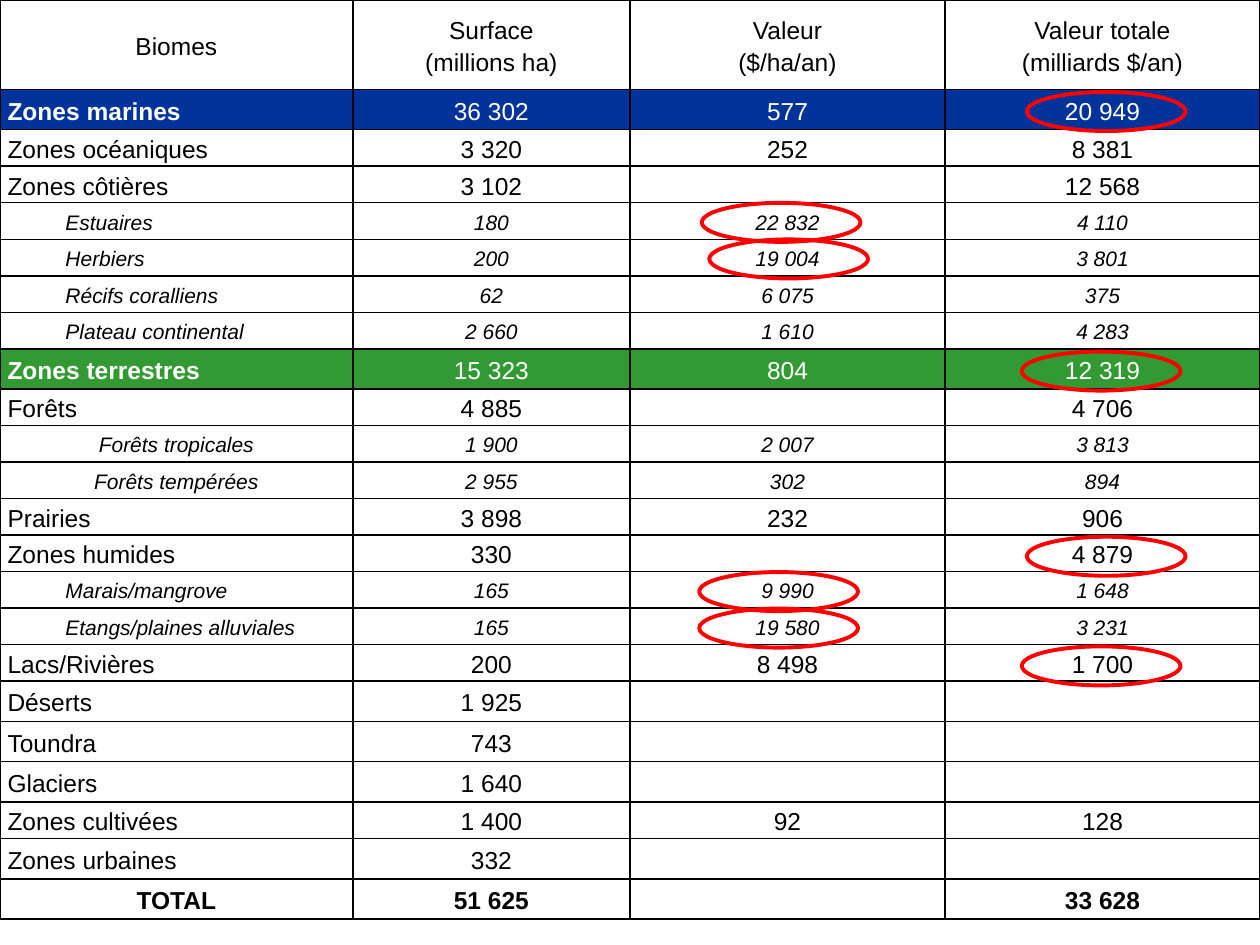
from pptx import Presentation
from pptx.dml.color import RGBColor as RGB
from pptx.enum.shapes import MSO_SHAPE as Shape
from pptx.enum.text import MSO_ANCHOR as Anchor, PP_ALIGN as Align
from pptx.oxml import parse_xml
from pptx.oxml.ns import nsdecls
from pptx.util import Inches, Pt

BLACK = RGB(0, 0, 0)
WHITE = RGB(255, 255, 255)
BLUE = RGB(0, 0x33, 0x99)
GREEN = RGB(0x33, 0x99, 0x33)
RED = RGB(255, 0, 0)

COLS = [2.8, 2.2, 2.5, 2.5]
HEAD, TALL, LOW = 0.71, 0.32, 0.29

# Row kinds: head, sea, land, main, sub (indented), mid (centred), total
ROWS = [
    ("head", HEAD, "Biomes", "Surface\n(millions ha)", "Valeur\n($/ha/an)",
     "Valeur totale\n(milliards $/an)"),
    ("sea", TALL, "Zones marines", "36 302", "577", "20 949"),
    ("main", LOW, "Zones océaniques", "3 320", "252", "8 381"),
    ("main", LOW, "Zones côtières", "3 102", "", "12 568"),
    ("sub", LOW, "Estuaires", "180", "22 832", "4 110"),
    ("sub", LOW, "Herbiers", "200", "19 004", "3 801"),
    ("sub", LOW, "Récifs coralliens", "62", "6 075", "375"),
    ("sub", LOW, "Plateau continental", "2 660", "1 610", "4 283"),
    ("land", TALL, "Zones terrestres", "15 323", "804", "12 319"),
    ("main", LOW, "Forêts", "4 885", "", "4 706"),
    ("mid", LOW, "Forêts tropicales", "1 900", "2 007", "3 813"),
    ("mid", LOW, "Forêts tempérées", "2 955", "302", "894"),
    ("main", LOW, "Prairies", "3 898", "232", "906"),
    ("main", LOW, "Zones humides", "330", "", "4 879"),
    ("sub", LOW, "Marais/mangrove", "165", "9 990", "1 648"),
    ("sub", LOW, "Etangs/plaines alluviales", "165", "19 580", "3 231"),
    ("main", LOW, "Lacs/Rivières", "200", "8 498", "1 700"),
    ("main", TALL, "Déserts", "1 925", "", ""),
    ("main", TALL, "Toundra", "743", "", ""),
    ("main", TALL, "Glaciers", "1 640", "", ""),
    ("main", LOW, "Zones cultivées", "1 400", "92", "128"),
    ("main", TALL, "Zones urbaines", "332", "", ""),
    ("total", TALL, "TOTAL", "51 625", "", "33 628"),
]
FILLS = {"sea": BLUE, "land": GREEN, "total": WHITE}

# Left and top of each ring, level with the value inside it
RINGS = [(8.15, 0.73), (5.55, 4.54), (5.55, 4.83), (5.57, 1.61),
         (5.63, 1.9), (8.11, 2.79), (8.15, 4.26), (8.11, 5.13)]


def add_edges(cell):
    """Draw a thin black line on all four sides."""
    props = cell._tc.get_or_add_tcPr()
    for side in "LRTB":
        props.append(parse_xml(
            f'<a:ln{side} {nsdecls("a")} w="{Pt(1)}"><a:solidFill>'
            f'<a:srgbClr val="{BLACK}"/></a:solidFill></a:ln{side}>'))


def add_text(cell, text, kind, first):
    frame = cell.text_frame
    for num, line in enumerate(text.split("\n")):
        para = frame.add_paragraph() if num else frame.paragraphs[0]
        left = first and kind not in ("head", "mid", "total")
        para.alignment = Align.LEFT if left else Align.CENTER
        para.line_spacing = 1.15
        run = para.add_run()
        run.text = line
        font = run.font
        small = kind in ("sub", "mid")
        band = kind in ("sea", "land")
        font.name = "Arial"
        font.size = Pt(12 if small else 14)
        font.italic = small
        font.bold = kind == "total" or (band and first)
        font.color.rgb = WHITE if band else BLACK


def set_blank(cell):
    """Keep an empty cell from stretching its row."""
    para = cell.text_frame.paragraphs[0]
    para._p.append(parse_xml(f'<a:endParaRPr {nsdecls("a")} sz="1200"/>'))


def fill_cell(cell, text, kind, first):
    cell.vertical_anchor = Anchor.MIDDLE
    cell.margin_left = Inches(0.52 if first and kind == "sub" else 0.06)
    cell.margin_right = Inches(0.06)
    cell.margin_top = cell.margin_bottom = 0
    add_edges(cell)
    if kind in FILLS:
        cell.fill.solid()
        cell.fill.fore_color.rgb = FILLS[kind]
    else:
        cell.fill.background()
    if text:
        add_text(cell, text, kind, first)
    else:
        set_blank(cell)


def add_grid(slide):
    high = sum(row[1] for row in ROWS)
    grid = slide.shapes.add_table(len(ROWS), len(COLS), 0, 0,
                                  Inches(sum(COLS)), Inches(high)).table
    grid.first_row = grid.horz_banding = False
    for col, width in zip(grid.columns, COLS):
        col.width = Inches(width)
    for row, (kind, height, *texts) in zip(grid.rows, ROWS):
        row.height = Inches(height)
        for num, (cell, text) in enumerate(zip(row.cells, texts)):
            fill_cell(cell, text, kind, num == 0)


def add_ring(slide, left, top):
    ring = slide.shapes.add_shape(Shape.OVAL, Inches(left), Inches(top),
                                  Inches(1.26), Inches(0.31))
    ring.shadow.inherit = False
    ring.fill.background()
    ring.line.color.rgb = RED
    ring.line.width = Pt(2.25)


def main():
    deck = Presentation()
    deck.slide_width, deck.slide_height = Inches(10), Inches(7.5)
    slide = deck.slides.add_slide(deck.slide_layouts[6])
    # Table of biomes
    add_grid(slide)
    # Rings around the key values
    for left, top in RINGS:
        add_ring(slide, left, top)
    deck.save("out.pptx")


if __name__ == "__main__":
    main()
